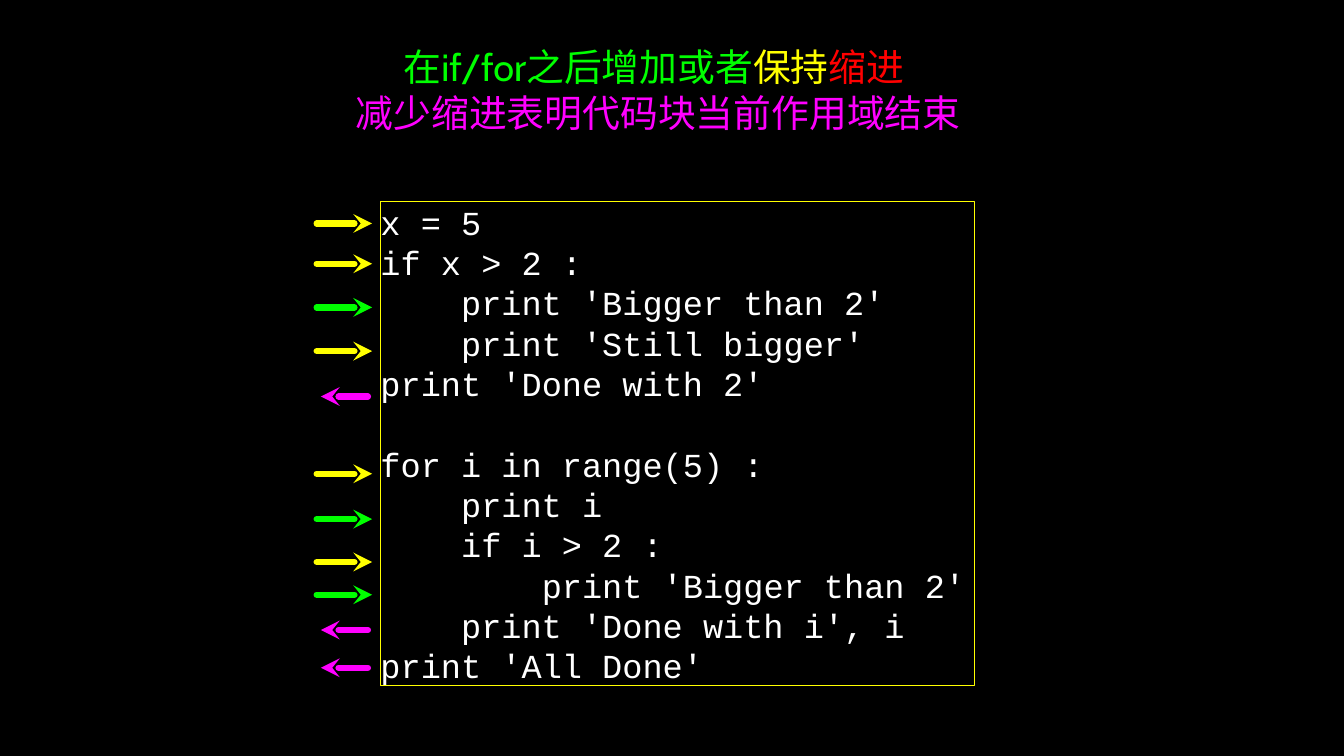
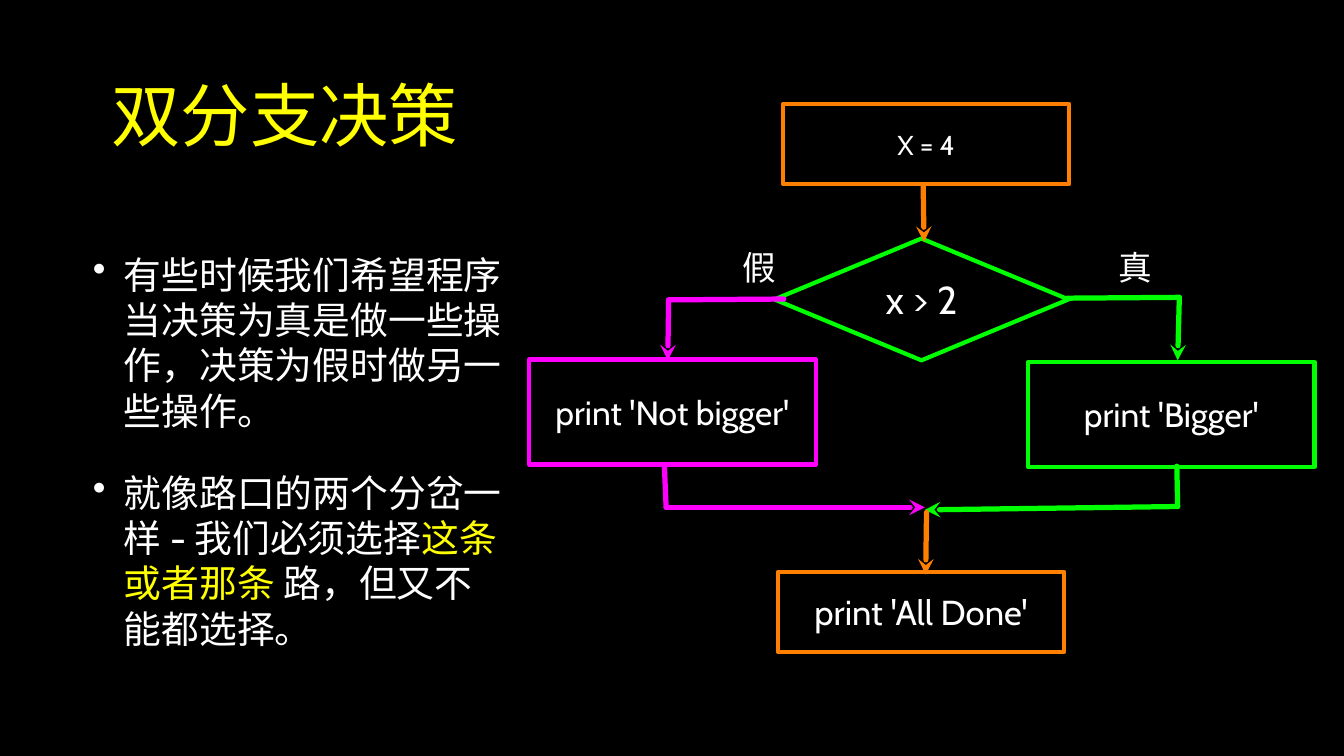
from lxml.etree import SubElement
from pptx import Presentation
from pptx.dml.color import RGBColor
from pptx.enum.shapes import MSO_CONNECTOR, MSO_SHAPE
from pptx.enum.text import MSO_ANCHOR, MSO_AUTO_SIZE, PP_ALIGN
from pptx.oxml.ns import qn
from pptx.util import Emu, Inches, Pt

COLORS = {
    "black": "000000",
    "white": "FFFFFF",
    "yellow": "FFFF00",
    "green": "00FF00",
    "magenta": "FF00FF",
    "orange": "FF7F00",
    "red": "FF0000",
}
COLUMNS, ROWS = 160, 90
TITLE_ONLY = 5


class Deck:
    """Holds the dark style, a 160 by 90 grid and the current slide."""

    def __init__(self):
        self.prs = Presentation()
        self.prs.slide_width, self.prs.slide_height = Inches(17.78), Inches(10)
        backdrop = self.prs.slide_master.background.fill
        backdrop.solid()
        backdrop.fore_color.rgb = self.color("black")
        self.slide = None

    def color(self, name):
        return RGBColor.from_string(COLORS[name])

    def x(self, columns):
        return Emu(round(self.prs.slide_width * columns / COLUMNS))

    def y(self, rows):
        return Emu(round(self.prs.slide_height * rows / ROWS))

    def box(self, left, top, width, height):
        return self.x(left), self.y(top), self.x(width), self.y(height)

    def add_slide(self):
        self.slide = self.prs.slides.add_slide(self.prs.slide_layouts[TITLE_ONLY])

    def frame(self, shape, inset=0):
        frame = shape.text_frame
        frame.word_wrap = True
        frame.auto_size = MSO_AUTO_SIZE.NONE
        frame.vertical_anchor = MSO_ANCHOR.MIDDLE
        frame.margin_left = frame.margin_right = Inches(inset)
        frame.margin_top = frame.margin_bottom = Inches(inset)
        return frame

    def add_text(self, frame, paragraphs, size, font="Cabin", align=PP_ALIGN.CENTER):
        for index, runs in enumerate(paragraphs):
            paragraph = frame.add_paragraph() if index else frame.paragraphs[0]
            paragraph.alignment = align
            for text, color in runs:
                run = paragraph.add_run()
                run.text = text
                run.font.name = font
                run.font.size = Pt(size)
                run.font.color.rgb = self.color(color)
        return frame.paragraphs

    def title(self, place, paragraphs, size, inset=0):
        heading = self.slide.shapes.title
        heading.left, heading.top, heading.width, heading.height = self.box(*place)
        self.add_text(self.frame(heading, inset), paragraphs, size)

    def label(self, place, text, size=32):
        caption = self.slide.shapes.add_textbox(*self.box(*place))
        self.add_text(self.frame(caption), [[(text, "white")]], size)

    def outline(self, place, color, weight=4, kind=MSO_SHAPE.RECTANGLE):
        node = self.slide.shapes.add_shape(kind, *self.box(*place))
        node.shadow.inherit = False
        node.fill.background()
        node.line.color.rgb = self.color(color)
        node.line.width = Pt(weight)
        return self.frame(node)

    def step(self, place, color, text, size=32, kind=MSO_SHAPE.RECTANGLE):
        self.add_text(self.outline(place, color, kind=kind), [[(text, "white")]], size)

    def code(self, place, lines, pitch):
        """Set (indent, text, gap) lines at a fixed pitch in rows."""
        frame = self.outline(place, "yellow", weight=1)
        paragraphs = self.add_text(
            frame, [[(text, "white")] for _, text, _ in lines],
            32, "Courier New", PP_ALIGN.LEFT)
        for paragraph, (indent, _, gap) in zip(paragraphs, lines):
            paragraph.line_spacing = self.y(pitch)
            paragraph.space_before = self.y(pitch * gap)
            self.indent(paragraph, Pt(32 * 0.6 * 4 * indent), 0)

    def indent(self, paragraph, margin, hanging):
        properties = paragraph._p.get_or_add_pPr()
        properties.set("marL", str(int(margin)))
        properties.set("indent", str(int(hanging)))
        return properties

    def bullets(self, place, paragraphs, size, gap):
        body = self.slide.shapes.add_textbox(*self.box(*place))
        items = self.add_text(self.frame(body, 0.04), paragraphs, size, align=PP_ALIGN.LEFT)
        for index, item in enumerate(items):
            item.space_before = Pt(gap if index else 0)
            properties = self.indent(item, Inches(0.82), Inches(-0.41))
            tint = SubElement(properties, qn("a:buClr"))
            SubElement(tint, qn("a:srgbClr")).set("val", COLORS["white"])
            SubElement(properties, qn("a:buChar")).set("char", "•")

    def line(self, start, end, color, weight=5, arrow=True):
        link = self.slide.shapes.add_connector(
            MSO_CONNECTOR.STRAIGHT, self.x(start[0]), self.y(start[1]),
            self.x(end[0]), self.y(end[1]))
        link.line.color.rgb = self.color(color)
        link.line.width = Pt(weight)
        properties = link.element.spPr
        stroke = properties.find(qn("a:ln"))
        stroke.set("cap", "rnd")
        if arrow:
            SubElement(stroke, qn("a:tailEnd")).set("type", "stealth")
        SubElement(properties, qn("a:effectLst"))

    def elbow(self, start, corner, end, color):
        self.line(start, corner, color, arrow=False)
        self.line(corner, end, color)


def indentation_slide(deck):
    deck.add_slide()
    deck.title((40.8, 3.5, 75.1, 14.3), [
        [("在if/for之后增加或者", "green"), ("保持", "yellow"), ("缩进 ", "red")],
        [("减少缩进表明代码块当前作用域结束", "magenta")],
    ], 36)
    program = [
        (0, "x = 5", 0, "keep", 26.6),
        (0, "if x > 2 :", 0, "keep", 31.4),
        (1, "print 'Bigger than 2'", 0, "increase", 36.6),
        (1, "print 'Still bigger'", 0, "keep", 41.8),
        (0, "print 'Done with 2'", 0, "decrease", 47.2),
        (0, "for i in range(5) :", 1, "keep", 56.4),
        (1, "print i", 0, "increase", 61.8),
        (1, "if i > 2 :", 0, "keep", 66.9),
        (2, "print 'Bigger than 2'", 0, "increase", 70.8),
        (1, "print 'Done with i', i", 0, "decrease", 75),
        (0, "print 'All Done'", 0, "decrease", 79.5),
    ]
    deck.code((45.3, 24, 70.7, 57.6), [entry[:3] for entry in program], pitch=4.8)
    changes = {
        "keep": (37.7, 44.3, "yellow"),
        "increase": (37.7, 44.3, "green"),
        "decrease": (43.8, 38.2, "magenta"),
    }
    for _, _, _, change, row in program:
        start, end, color = changes[change]
        deck.line((start, row), (end, row), color, weight=6)


def decision_slide(deck):
    deck.add_slide()
    deck.title((1.6, 2.3, 64.6, 22.6), [[("双分支决策", "yellow")]], 66, inset=0.04)
    deck.bullets((7, 25.6, 54, 56.2), [
        [("有些时候我们希望程序当决策为真是做一些操作，决策为假时做另一些操作。", "white")],
        [("就像路口的两个分岔一样 - 我们必须选择", "white"),
         ("这条或者那条 ", "yellow"), ("路，但又不能都选择。", "white")],
    ], 36, gap=35)

    width, branch, terminal = 34.1, 12.5, 9.5
    deck.step((93.2, 12.4, width, terminal), "orange", "X = 4", 26)
    deck.step((92.2, 28.4, 35, 14.5), "green", "x > 2", 37, MSO_SHAPE.DIAMOND)
    deck.step((122.4, 43.1, width, branch), "green", "print 'Bigger'")
    deck.step((63, 42.8, width, branch), "magenta", "print 'Not bigger'")
    deck.step((92.6, 68.1, width, terminal), "orange", "print 'All Done'", 33)
    deck.label((132, 29, 6.2, 5.5), "真")
    deck.label((87.8, 29, 5.3, 5.5), "假")

    deck.line((109.9, 22), (110, 28.8), "orange")
    deck.elbow((127, 35.5), (140.4, 35.4), (140.2, 42.9), "green")
    deck.elbow((140.1, 55.5), (140.2, 60.3), (110.1, 60.7), "green")
    deck.elbow((93.3, 35.6), (79.6, 35.7), (79.5, 42.9), "magenta")
    deck.elbow((79.1, 55.6), (79.3, 60.4), (110.1, 60.4), "magenta")
    deck.line((110.3, 61), (110.2, 68.4), "orange")


def main():
    deck = Deck()
    indentation_slide(deck)
    decision_slide(deck)
    deck.prs.save("out.pptx")


if __name__ == "__main__":
    main()
